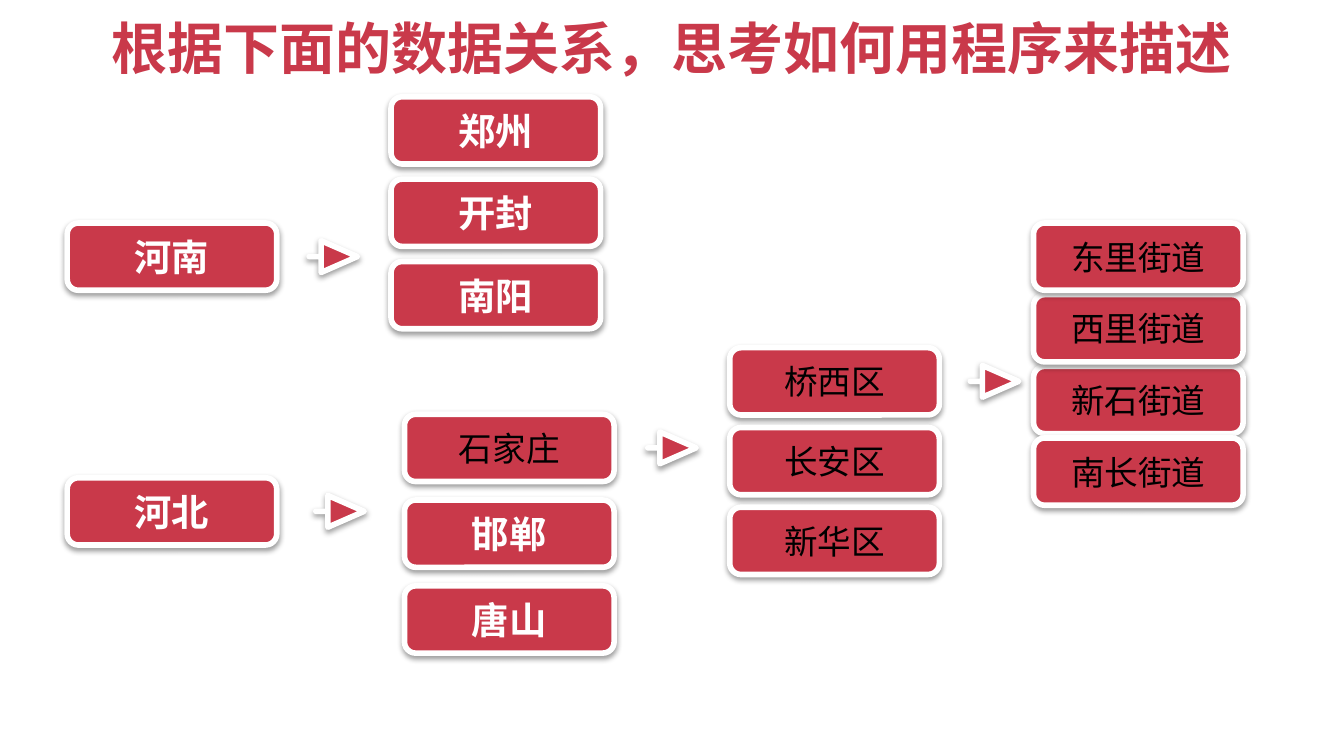
from dataclasses import dataclass

from lxml import etree
from pptx import Presentation
from pptx.dml.color import RGBColor
from pptx.enum.shapes import MSO_SHAPE
from pptx.enum.text import MSO_ANCHOR, MSO_AUTO_SIZE, PP_ALIGN
from pptx.oxml.ns import qn
from pptx.util import Inches, Pt

ROUND = MSO_SHAPE.ROUNDED_RECTANGLE
TOP, MIDDLE = MSO_ANCHOR.TOP, MSO_ANCHOR.MIDDLE
CENTER = PP_ALIGN.CENTER
FIXED = MSO_AUTO_SIZE.NONE

RED = RGBColor(0xC9, 0x39, 0x4A)
WHITE = RGBColor(0xFF, 0xFF, 0xFF)
BLACK = RGBColor(0x00, 0x00, 0x00)

WIDE = Inches(10)
HIGH = WIDE * 9 // 16
BOX_W, BOX_H = 0.156, 0.089
TIP_W, TIP_H, TAIL = 0.036, 0.042, 0.009


@dataclass(frozen=True)
class Look:
    face: str
    size: int
    color: RGBColor
    bold: bool


@dataclass(frozen=True)
class Stack:
    left: float
    top: float
    names: tuple[str, ...]
    step: float = 0
    plain: int = 0
    gap: float = 0
    order: tuple[int, ...] = ()


HEAD = Look("Noto Sans CJK SC", 30, RED, True)
STRONG = Look("Noto Sans CJK SC", 20, WHITE, True)
PLAIN = Look("Calibri", 18, BLACK, False)

STACKS = (
    Stack(0.05, 0.295, ("河南",), gap=0.024),
    Stack(0.05, 0.632, ("河北",), gap=0.029),
    Stack(0.291, 0.128, ("郑州", "开封", "南阳"), step=0.109),
    Stack(0.301, 0.548, ("石家庄", "邯郸", "唐山"), step=0.1135, plain=1, gap=0.025),
    Stack(0.543, 0.46, ("桥西区", "长安区", "新华区"), step=0.1055, plain=3, gap=0.023),
    Stack(0.769, 0.295, ("东里街道", "西里街道", "新石街道", "南长街道"),
          step=0.0948, plain=4, order=(2, 1, 0, 3)),
)


def across(share: float) -> int:
    return round(WIDE * share)


def down(share: float) -> int:
    return round(HIGH * share)


def write(shape, text: str, look: Look, anchor) -> None:
    frame = shape.text_frame
    frame.text = text
    frame.word_wrap = True
    frame.auto_size = FIXED
    frame.vertical_anchor = anchor
    frame.margin_left = frame.margin_right = Inches(0.05)
    frame.margin_top = frame.margin_bottom = Inches(0.05)
    line = frame.paragraphs[0]
    line.alignment = CENTER
    font = line.runs[0].font
    font.name = look.face
    font.size = Pt(look.size)
    font.bold = look.bold
    font.color.rgb = look.color
    east = etree.Element(qn("a:ea"), typeface=look.face)
    line.runs[0]._r.rPr.find(qn("a:latin")).addnext(east)


def paint(shape) -> None:
    shape.fill.solid()
    shape.fill.fore_color.rgb = RED
    shape.line.color.rgb = WHITE
    shape.line.width = Pt(3)
    shape.shadow.inherit = False
    glow = etree.SubElement(
        shape._element.spPr.find(qn("a:effectLst")), qn("a:outerShdw"),
        blurRad=str(Pt(3)), dist=str(Pt(1.6)), dir="5400000", rotWithShape="0")
    tone = etree.SubElement(glow, qn("a:srgbClr"), val=str(BLACK))
    etree.SubElement(tone, qn("a:alpha"), val="38000")


def arrow(shapes, left: float, mid: float) -> None:
    start, neck, tip = (across(left + part) for part in (0, TAIL, TIP_W))
    high, axis, low = (down(mid + part) for part in (-TIP_H / 2, 0, TIP_H / 2))
    pen = shapes.build_freeform(neck, low)
    pen.add_line_segments(
        [(neck, axis), (start, axis), (neck, axis), (neck, high), (tip, axis)])
    paint(pen.convert_to_shape())


def draw(shapes, stack: Stack) -> None:
    for row in stack.order or range(len(stack.names)):
        box = shapes.add_shape(
            ROUND, across(stack.left), down(stack.top + row * stack.step),
            across(BOX_W), down(BOX_H))
        paint(box)
        look = PLAIN if row < stack.plain else STRONG
        write(box, stack.names[row], look, MIDDLE)
    if stack.gap:
        arrow(shapes, stack.left + BOX_W + stack.gap, stack.top + BOX_H / 2)


def main() -> None:
    deck = Presentation()
    deck.slide_width, deck.slide_height = WIDE, HIGH
    slide = deck.slides.add_slide(deck.slide_layouts[5])
    title = slide.shapes.title
    title.left, title.top = across(0.05), down(0.009)
    title.width, title.height = across(0.9), down(0.121)
    write(title, "根据下面的数据关系，思考如何用程序来描述", HEAD, TOP)
    for stack in STACKS:
        draw(slide.shapes, stack)
    deck.save("out.pptx")


if __name__ == "__main__":
    main()
